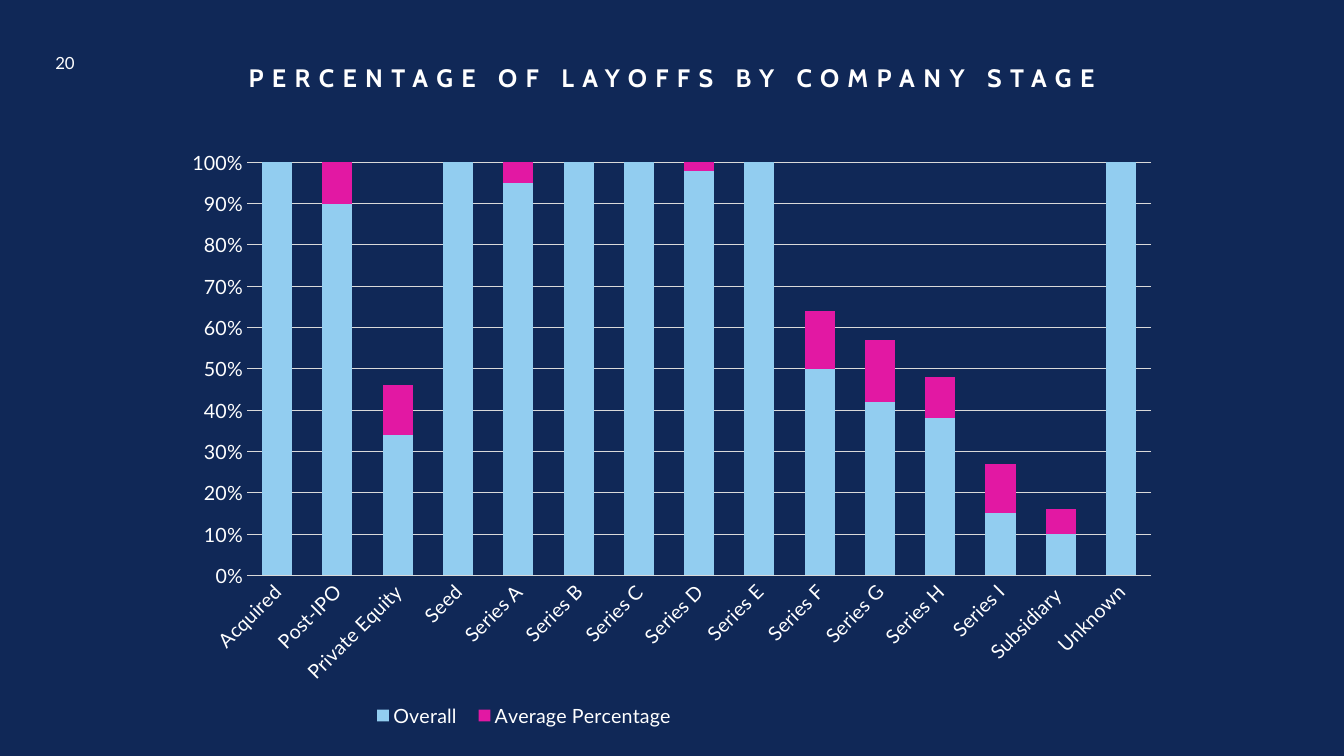
"""Build the slide on layoff percentages by company stage."""
from copy import deepcopy
from dataclasses import dataclass

from pptx import Presentation
from pptx.chart.data import CategoryChartData
from pptx.dml.color import RGBColor
from pptx.enum.chart import XL_CHART_TYPE, XL_LEGEND_POSITION, XL_TICK_MARK
from pptx.enum.text import MSO_ANCHOR, PP_ALIGN
from pptx.oxml import parse_xml
from pptx.oxml.ns import nsdecls, qn
from pptx.util import Inches, Pt

STACKED = XL_CHART_TYPE.COLUMN_STACKED
BOTTOM = XL_LEGEND_POSITION.BOTTOM
NO_TICK = XL_TICK_MARK.NONE
CENTER = PP_ALIGN.CENTER
MIDDLE = MSO_ANCHOR.MIDDLE

NAVY, WHITE, GRID = "102857", "FFFFFF", "D9D9D9"
BODY_FONT, TITLE_FONT = "Lato", "Cabin"
RIGHT_CAT_ID, RIGHT_VAL_ID = "5001", "5002"
AUTO_ROTATION = "-60000000"


@dataclass(frozen=True)
class Box:
    left: float
    top: float
    width: float
    height: float

    def inches(self) -> tuple:
        return tuple(Inches(v) for v in (self.left, self.top, self.width, self.height))

    def within(self, outer: "Box") -> "Box":
        return Box((self.left - outer.left) / outer.width, (self.top - outer.top) / outer.height,
                   self.width / outer.width, self.height / outer.height)


@dataclass(frozen=True)
class Series:
    name: str
    color: str
    values: tuple


CHART = Box(1.71, 1.37, 9.91, 5.93)
PLOT = Box(2.45, 1.61, 8.97, 4.1)
LEGEND = Box(3.59, 6.92, 3.22, 0.36)
STAGES = ("Acquired", "Post-IPO", "Private Equity", "Seed",
          *(f"Series {letter}" for letter in "ABCDEFGHI"), "Subsidiary ", "Unknown")
SERIES = (
    Series("Overall", "92CDF0",
           (1, 0.9, 0.34, 1, 0.95, 1, 1, 0.98, 1, 0.5, 0.42, 0.38, 0.15, 0.1, 1)),
    Series("Average Percentage", "E218A3",
           (0.25, 0.14, 0.12, 0.57, 0.33, 0.31, 0.22, 0.19, 0.18,
            0.14, 0.15, 0.1, 0.12, 0.06, 0.25)),
)


def rgb(color: str) -> RGBColor:
    return RGBColor.from_string(color)


def style_font(font, size: float, name: str = BODY_FONT, color: str = WHITE,
               bold: bool = False) -> None:
    font.size, font.name, font.bold = Pt(size), name, bold
    font.color.rgb = rgb(color)


def add_text(slide, text: str, box: Box, *, size: float, font: str = BODY_FONT,
             bold: bool = False, spacing: float = 0, line_spacing: float = 1.0) -> None:
    tf = slide.shapes.add_textbox(*box.inches()).text_frame
    tf.word_wrap = True
    tf.vertical_anchor = MIDDLE
    p = tf.paragraphs[0]
    p.alignment, p.line_spacing = CENTER, line_spacing
    r = p.add_run()
    r.text = text
    style_font(r.font, size, font, bold=bold)
    if spacing:
        r.font._element.set("spc", str(round(spacing * 100)))


def set_layout(element, index: int, box: Box, inner: bool = False) -> None:
    for old in element.findall(qn("c:layout")):
        element.remove(old)
    target = '<c:layoutTarget val="inner"/>' if inner else ""
    element.insert(index, parse_xml(
        f'<c:layout {nsdecls("c")}><c:manualLayout>{target}'
        '<c:xMode val="edge"/><c:yMode val="edge"/>'
        f'<c:x val="{box.left:.4f}"/><c:y val="{box.top:.4f}"/>'
        f'<c:w val="{box.width:.4f}"/><c:h val="{box.height:.4f}"/>'
        '</c:manualLayout></c:layout>'))


def style_line(line, color: str, width: float) -> None:
    line.color.rgb = rgb(color)
    line.width = Pt(width)


def style_axes(chart) -> None:
    cat, val = chart.category_axis, chart.value_axis
    for axis in (cat, val):
        axis.major_tick_mark = axis.minor_tick_mark = NO_TICK
        style_font(axis.tick_labels.font, 14)
    style_line(cat.format.line, GRID, 0.75)
    cat._element.find(qn("c:txPr")).find(qn("a:bodyPr")).set("rot", AUTO_ROTATION)
    val.maximum_scale = 1
    val.tick_labels.number_format = "0%"
    val.tick_labels.number_format_is_linked = False
    val.format.line.fill.background()
    style_line(val.major_gridlines.format.line, GRID, 0.75)


def hidden_axis(tag: str, axis_id: str, cross_id: str, position: str, crosses: str):
    return parse_xml(
        f'<c:{tag} {nsdecls("c")}><c:axId val="{axis_id}"/>'
        '<c:scaling><c:orientation val="minMax"/></c:scaling><c:delete val="1"/>'
        f'<c:axPos val="{position}"/><c:majorTickMark val="none"/>'
        '<c:minorTickMark val="none"/><c:tickLblPos val="nextTo"/>'
        f'<c:crossAx val="{cross_id}"/><c:crosses val="{crosses}"/></c:{tag}>')


def move_average_to_right_axis(plot_area) -> None:
    left = plot_area.find(qn("c:barChart"))
    right = deepcopy(left)
    left.remove(left.findall(qn("c:ser"))[1])
    right.remove(right.findall(qn("c:ser"))[0])
    for ref, axis_id in zip(right.findall(qn("c:axId")), (RIGHT_CAT_ID, RIGHT_VAL_ID)):
        ref.set("val", axis_id)
    left.addnext(right)
    last_axis = plot_area.find(qn("c:valAx"))
    last_axis.addnext(hidden_axis("catAx", RIGHT_CAT_ID, RIGHT_VAL_ID, "b", "autoZero"))
    last_axis.addnext(hidden_axis("valAx", RIGHT_VAL_ID, RIGHT_CAT_ID, "r", "max"))


def add_stage_chart(slide) -> None:
    data = CategoryChartData(number_format="0%")
    data.categories = STAGES
    for series in SERIES:
        data.add_series(series.name, series.values)
    chart = slide.shapes.add_chart(STACKED, *CHART.inches(), data).chart
    chart.has_title = False
    style_font(chart.font, 14)
    plot = chart.plots[0]
    plot.gap_width, plot.overlap, plot.vary_by_categories = 100, 98, False
    for drawn, series in zip(plot.series, SERIES):
        drawn.format.fill.solid()
        drawn.format.fill.fore_color.rgb = rgb(series.color)
        drawn.invert_if_negative = False
    style_axes(chart)
    chart.has_legend = True
    legend = chart.legend
    legend.position, legend.include_in_layout = BOTTOM, False
    style_font(legend.font, 14)
    plot_area = chart._chartSpace.find(qn("c:chart")).find(qn("c:plotArea"))
    move_average_to_right_axis(plot_area)
    set_layout(plot_area, 0, PLOT.within(CHART), inner=True)
    set_layout(legend._element, 1, LEGEND.within(CHART))


def main() -> None:
    prs = Presentation()
    prs.slide_width, prs.slide_height = Inches(13.33), Inches(7.5)
    s = prs.slides.add_slide(prs.slide_layouts[6])
    s.background.fill.solid()
    s.background.fill.fore_color.rgb = rgb(NAVY)
    add_text(s, "20", Box(0.36, 0.45, 0.57, 0.34), size=12)
    add_text(s, "PERCENTAGE OF LAYOFFS BY COMPANY STAGE", Box(1.2, 0.2, 10.93, 1.17),
             size=18, font=TITLE_FONT, bold=True, spacing=6, line_spacing=0.9)
    add_stage_chart(s)
    prs.save("out.pptx")


if __name__ == "__main__":
    main()
